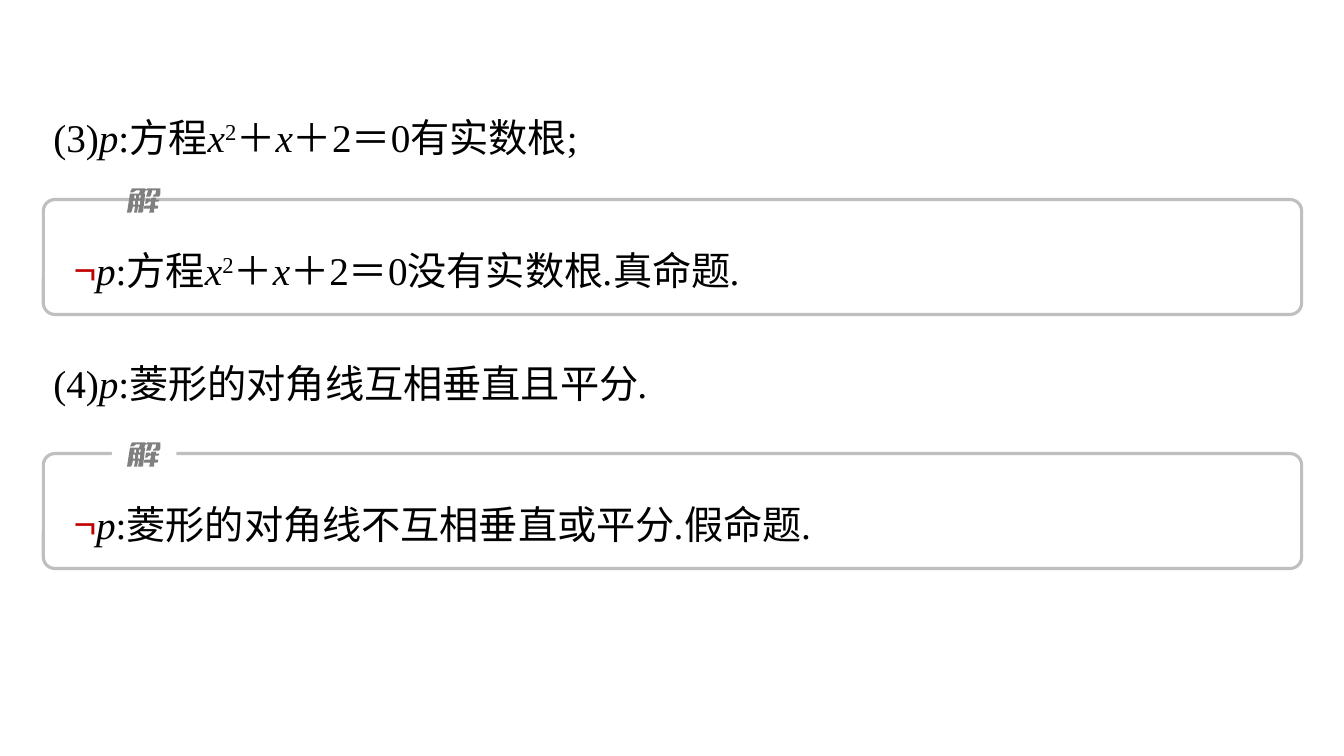
from dataclasses import dataclass
from typing import Any

from lxml.etree import SubElement
from pptx import Presentation
from pptx.dml.color import RGBColor
from pptx.enum.shapes import MSO_SHAPE
from pptx.enum.text import MSO_AUTO_SIZE
from pptx.oxml.ns import qn
from pptx.util import Emu, Pt

PX = 9144  # EMU per px, 100 px to the inch


@dataclass(frozen=True)
class Theme:
    ink: RGBColor = RGBColor(0x00, 0x00, 0x00)
    negation: RGBColor = RGBColor(0xC0, 0x00, 0x00)
    frame: RGBColor = RGBColor(0xBF, 0xBF, 0xBF)
    label: RGBColor = RGBColor(0x80, 0x80, 0x80)
    paper: RGBColor = RGBColor(0xFF, 0xFF, 0xFF)
    latin: str = "Times New Roman"
    cjk: str = "Noto Sans CJK SC"
    body: Pt = Pt(28)
    frame_line: Pt = Pt(2.25)


THEME = Theme()


@dataclass(frozen=True)
class Span:
    text: str
    italic: bool = False
    raised: bool = False
    font: str = THEME.latin
    color: RGBColor = THEME.ink


@dataclass(frozen=True)
class Box:
    left: int
    top: int
    width: int
    height: int

    def emu(self) -> tuple[Emu, ...]:
        return tuple(Emu(n * PX) for n in (self.left, self.top, self.width, self.height))


@dataclass(frozen=True)
class Exercise:
    question_top: int
    answer_top: int
    question: list[Span]
    answer: list[Span]
    label_gap: bool


# Formula pieces shared by questions and answers
PLUS, EQUALS = (Span(sign, font=THEME.cjk) for sign in "＋＝")
P, X, STOP = (Span(letter, italic=True) for letter in "px.")
NOT = Span("¬", font=THEME.cjk, color=THEME.negation)
EQUATION = [Span(":方程"), X, Span("2", raised=True), PLUS, X, PLUS, Span("2"), EQUALS]

EXERCISES = [
    Exercise(
        84, 198,
        [Span("(3)"), P, *EQUATION, Span("0有实数根;")],
        [NOT, P, *EQUATION, Span("0没有实数根"), STOP, Span("真命题"), STOP],
        label_gap=False,
    ),
    Exercise(
        328, 450,
        [Span("(4)"), P, Span(":菱形的对角线互相垂直且平分"), STOP],
        [NOT, P, Span(":菱形的对角线不互相垂直或平分"), STOP, Span("假命题"), STOP],
        label_gap=True,
    ),
]

# Outlines of the slanted label character 解, in px from its top left
LABEL_OUTLINES: list[list[tuple[int, int]]] = [
    [(11, 12), (11, 16), (13, 16), (13, 12)],
    [(6, 12), (6, 16), (8, 16), (8, 12)],
    [(25, 9), (29, 9), (29, 11), (32, 11), (32, 12), (31, 13), (28, 13), (28, 17),
     (31, 17), (31, 19), (30, 20), (27, 20), (27, 24), (22, 24), (23, 20), (17, 20),
     (17, 18), (18, 17), (23, 17), (24, 13), (22, 13), (21, 14), (20, 15), (18, 15),
     (19, 10), (23, 10), (23, 11), (24, 11), (24, 10)],
    [(12, 7), (12, 10), (13, 10), (14, 7)],
    [(20, 0), (33, 0), (33, 6), (32, 8), (26, 8), (26, 7), (27, 6), (28, 6), (29, 2),
     (25, 2), (24, 6), (23, 8), (19, 8), (21, 2), (19, 2), (19, 1)],
    [(5, 0), (18, 0), (19, 1), (17, 5), (18, 5), (16, 23), (15, 24), (11, 24),
     (12, 18), (11, 18), (10, 24), (7, 24), (8, 18), (6, 18), (5, 22), (4, 24),
     (0, 24), (3, 5), (8, 5), (7, 10), (9, 10), (9, 7), (8, 7), (8, 5), (12, 5),
     (13, 2), (9, 2), (6, 4), (3, 4)],
]


def write_line(shapes: Any, box: Box, spans: list[Span]) -> None:
    frame = shapes.add_textbox(*box.emu()).text_frame
    frame.word_wrap = True
    frame.auto_size = MSO_AUTO_SIZE.SHAPE_TO_FIT_TEXT
    line = frame.paragraphs[0]
    line.line_spacing = 1.5
    for span in spans:
        run = line.add_run()
        run.text = span.text
        formats = {"size": THEME.body, "name": span.font, "italic": span.italic}
        for name, value in formats.items():
            setattr(run.font, name, value)
        run.font.color.rgb = span.color
        properties = run.font._element
        SubElement(properties, qn("a:ea")).set("typeface", THEME.cjk)
        if span.raised:
            properties.set("baseline", "30000")


def paint(shape: Any, color: RGBColor) -> None:
    shape.shadow.inherit = False
    shape.fill.solid()
    shape.fill.fore_color.rgb = color
    shape.line.fill.background()


def draw_answer_frame(shapes: Any, top: int, label_gap: bool) -> None:
    group = shapes.add_group_shape().shapes
    frame = group.add_shape(MSO_SHAPE.ROUNDED_RECTANGLE, *Box(43, top, 1248, 114).emu())
    frame.adjustments[0] = 0.1
    frame.shadow.inherit = False
    frame.fill.background()
    frame.line.color.rgb = THEME.frame
    frame.line.width = THEME.frame_line
    if label_gap:
        gap = group.add_shape(MSO_SHAPE.RECTANGLE, *Box(111, top - 12, 64, 24).emu())
        paint(gap, THEME.paper)

    first, *others = LABEL_OUTLINES
    pen = group.build_freeform(*first[0], scale=PX)
    pen.add_line_segments(first[1:], close=True)
    for outline in others:
        pen.move_to(*outline[0])
        pen.add_line_segments(outline[1:], close=True)
    paint(pen.convert_to_shape(126 * PX, (top - 11) * PX), THEME.label)


def main() -> None:
    deck = Presentation()
    deck.slide_width, deck.slide_height = Emu(1333 * PX), Emu(750 * PX)
    shapes = deck.slides.add_slide(deck.slide_layouts[6]).shapes

    # Each question, followed by its framed answer
    for exercise in EXERCISES:
        write_line(shapes, Box(43, exercise.question_top, 1248, 73), exercise.question)
        write_line(shapes, Box(64, exercise.answer_top + 18, 1206, 81), exercise.answer)
        draw_answer_frame(shapes, exercise.answer_top, exercise.label_gap)

    deck.save("out.pptx")


if __name__ == "__main__":
    main()
